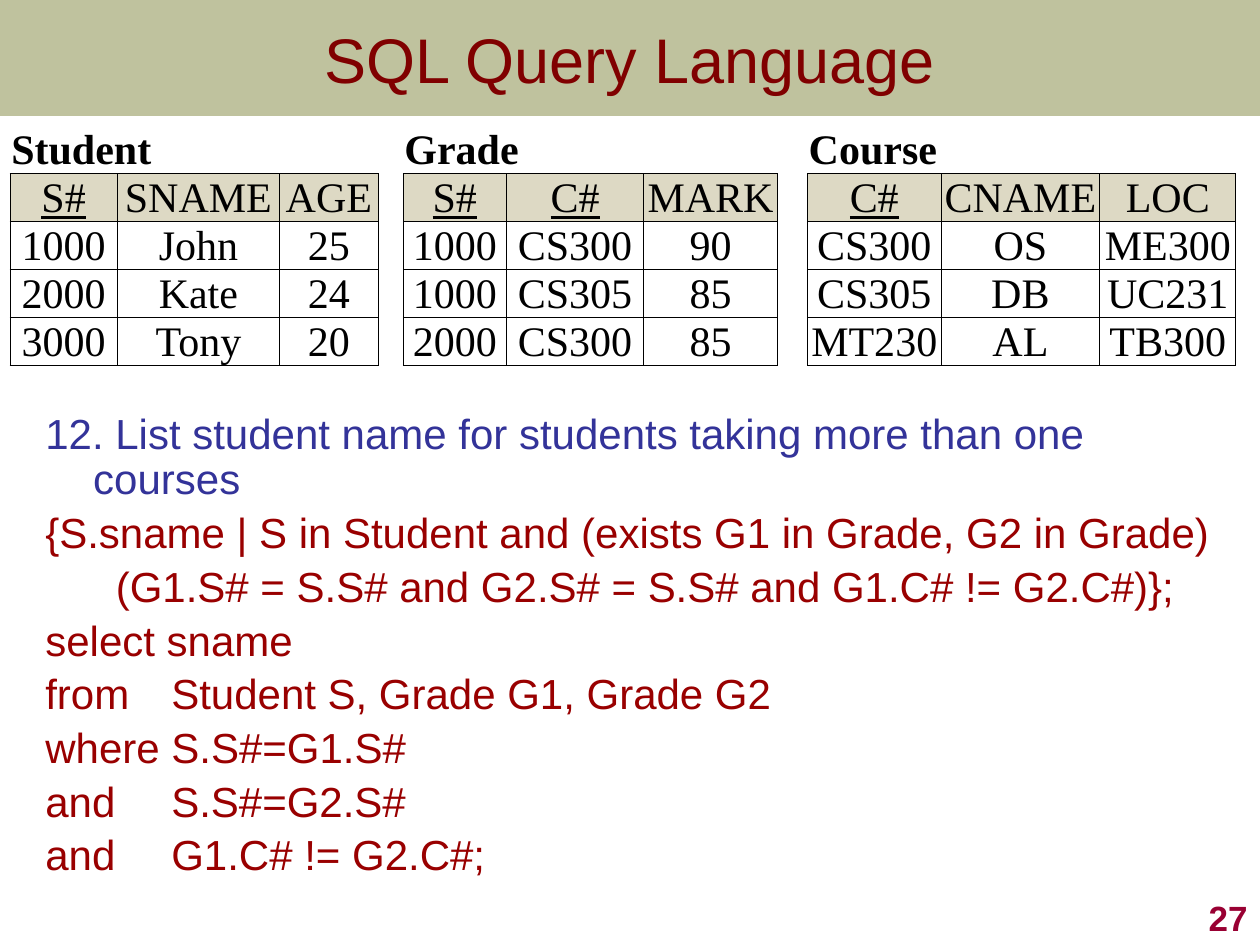
"""Build the SQL query language slide with three sample tables and a worked query."""
from lxml import etree
from pptx import Presentation
from pptx.dml.color import RGBColor
from pptx.enum.text import MSO_ANCHOR, MSO_AUTO_SIZE, PP_ALIGN
from pptx.oxml.ns import qn
from pptx.util import Inches, Pt

LEFT, CENTER, RIGHT = PP_ALIGN.LEFT, PP_ALIGN.CENTER, PP_ALIGN.RIGHT
TOP, MIDDLE, BOTTOM = MSO_ANCHOR.TOP, MSO_ANCHOR.MIDDLE, MSO_ANCHOR.BOTTOM
NO_FIT = MSO_AUTO_SIZE.NONE

BLACK = RGBColor(0x00, 0x00, 0x00)
WHITE = RGBColor(0xFF, 0xFF, 0xFF)
OLIVE = RGBColor(0x6E, 0x75, 0x24)
SAND = RGBColor(0xDD, 0xD9, 0xC4)
MAROON = RGBColor(0x80, 0x00, 0x00)
RED = RGBColor(0x99, 0x00, 0x00)
BLUE = RGBColor(0x33, 0x33, 0x99)
CRIMSON = RGBColor(0x99, 0x00, 0x33)

TITLE = "SQL Query Language"
PAGE_NUMBER = "27"
KEYS = ("S#", "C#")
RELATIONS = [
    {"name": "Student", "widths": (0.85, 1.29, 0.78), "rows": [
        ("S#", "SNAME", "AGE"), ("1000", "John", "25"),
        ("2000", "Kate", "24"), ("3000", "Tony", "20")]},
    {"name": "Grade", "widths": (0.82, 1.09, 1.06), "rows": [
        ("S#", "C#", "MARK"), ("1000", "CS300", "90"),
        ("1000", "CS305", "85"), ("2000", "CS300", "85")]},
    {"name": "Course", "widths": (1.06, 1.26, 1.08), "rows": [
        ("C#", "CNAME", "LOC"), ("CS300", "OS", "ME300"),
        ("CS305", "DB", "UC231"), ("MT230", "AL", "TB300")]},
]
GAP_WIDTHS = (0.2, 0.24)
ROW_HEIGHT = 0.38
HANGING = {"margin": 0.38, "indent": -0.38}
QUERY = [
    ("12. List student name for students taking more than one courses",
     {"color": BLUE, **HANGING}),
    ("{S.sname | S in Student and (exists G1 in Grade, G2 in Grade)", HANGING),
    ("(G1.S# = S.S# and G2.S# = S.S# and G1.C# != G2.C#)};", {"margin": 0.56}),
    ("select sname", {}),
    ("from\tStudent S, Grade G1, Grade G2", {"tab": 0.95}),
    ("where S.S#=G1.S#", {}),
    ("and\tS.S#=G2.S#", {"tab": 1.02}),
    ("and\tG1.C# != G2.C#;", {"tab": 1.02}),
]


def write(para, text, size=24, font="Arial", color=BLACK, bold=False,
          underline=False, align=LEFT):
    """Put one formatted span into a paragraph."""
    para.alignment = align
    span = para.add_run()
    span.text = text
    span.font.size, span.font.name = Pt(size), font
    span.font.bold, span.font.underline = bold, underline
    span.font.color.rgb = color


def place(shape, left, top, width, height):
    """Move and size a shape, in inches."""
    shape.left, shape.top = Inches(left), Inches(top)
    shape.width, shape.height = Inches(width), Inches(height)


def set_frame(frame, anchor, right=0.1):
    """Fix the wrapping, anchor and insets of a text frame."""
    frame.word_wrap, frame.auto_size = True, NO_FIT
    frame.vertical_anchor = anchor
    frame.margin_left, frame.margin_right = Inches(0.1), Inches(right)
    frame.margin_top = frame.margin_bottom = Inches(0.05)


def lay_out(para, margin=0, indent=0, tab=None):
    """Give a paragraph its spacing, indent, tab stop and no bullet."""
    para.line_spacing, para.space_before = 0.9, Pt(4.8)
    props = para._p.get_or_add_pPr()
    props.set("marL", str(Inches(margin)))
    props.set("indent", str(Inches(indent)))
    etree.SubElement(props, qn("a:buNone"))
    if tab:
        stops = etree.SubElement(props, qn("a:tabLst"))
        etree.SubElement(stops, qn("a:tab"), pos=str(Inches(tab)), algn="l")


def style_cell(cell, sides, fill):
    """Draw thin black borders on the named sides and fill the cell."""
    props = cell._tc.get_or_add_tcPr()
    for side in "LRTB":
        line = etree.SubElement(props, qn(f"a:ln{side}"), w=str(Pt(0.5)))
        if side in sides:
            paint = etree.SubElement(line, qn("a:solidFill"))
            etree.SubElement(paint, qn("a:srgbClr"), val=str(BLACK))
        else:
            etree.SubElement(line, qn("a:noFill"))
    cell.fill.solid()
    cell.fill.fore_color.rgb = fill
    cell.vertical_anchor = BOTTOM
    cell.margin_left = cell.margin_right = cell.margin_top = Inches(0.01)
    cell.margin_bottom = 0


def add_title(page):
    """Format the title placeholder as a translucent band."""
    title = page.shapes.title
    place(title, 0, 0, 10, 0.92)
    title.fill.solid()
    title.fill.fore_color.rgb = OLIVE
    tint = title._element.spPr.find(".//" + qn("a:srgbClr"))
    etree.SubElement(tint, qn("a:alpha"), val="44000")
    set_frame(title.text_frame, MIDDLE)
    write(title.text_frame.paragraphs[0], TITLE, size=36, color=MAROON, align=CENTER)


def add_query(page):
    """Fill the body placeholder with the question and its answer."""
    body = page.placeholders[1]
    place(body, 0.26, 3.23, 9.49, 4.27)
    frame = body.text_frame
    set_frame(frame, TOP, right=0)
    for number, (text, options) in enumerate(QUERY):
        para = frame.add_paragraph() if number else frame.paragraphs[0]
        layout = dict(options)
        write(para, text, color=layout.pop("color", RED))
        lay_out(para, **layout)


def add_relations(page):
    """Set the three relations side by side in one table."""
    widths = []
    for number, relation in enumerate(RELATIONS):
        widths += relation["widths"]
        widths += GAP_WIDTHS[number:number + 1]
    rows = 1 + len(RELATIONS[0]["rows"])
    table = page.shapes.add_table(
        rows, len(widths), Inches(0.08), Inches(1),
        Inches(sum(widths)), Inches(rows * ROW_HEIGHT)).table
    table.first_row = table.horz_banding = False
    for column, width in zip(table.columns, widths):
        column.width = Inches(width)
    for row in table.rows:
        row.height = Inches(ROW_HEIGHT)

    start = 0
    for relation in RELATIONS:
        span = len(relation["widths"])
        for column in range(start, start + span):
            style_cell(table.cell(0, column), "B", WHITE)
        heading = table.cell(0, start)
        heading.merge(table.cell(0, start + span - 1))
        write(heading.text_frame.paragraphs[0], relation["name"],
              font="Times New Roman", bold=True)
        for row, values in enumerate(relation["rows"], 1):
            for column, value in enumerate(values, start):
                cell = table.cell(row, column)
                style_cell(cell, "LRTB", SAND if row == 1 else WHITE)
                write(cell.text_frame.paragraphs[0], value, font="Times New Roman",
                      underline=value in KEYS, align=CENTER)
        start += span
        if start < len(widths):
            for row in range(rows):
                style_cell(table.cell(row, start), "LR" if row else "", WHITE)
        start += 1


def add_page_number(page):
    """Put the page number in the lower right corner."""
    box = page.shapes.add_textbox(Inches(7.92), Inches(7), Inches(2.08), Inches(0.5))
    set_frame(box.text_frame, BOTTOM)
    write(box.text_frame.paragraphs[0], PAGE_NUMBER, size=20, color=CRIMSON,
          bold=True, align=RIGHT)


def main():
    """Build and save the deck."""
    deck = Presentation()
    deck.slide_width, deck.slide_height = Inches(10), Inches(7.5)
    page = deck.slides.add_slide(deck.slide_layouts[1])
    add_query(page)
    add_page_number(page)
    add_title(page)
    add_relations(page)
    deck.save("out.pptx")


if __name__ == "__main__":
    main()
